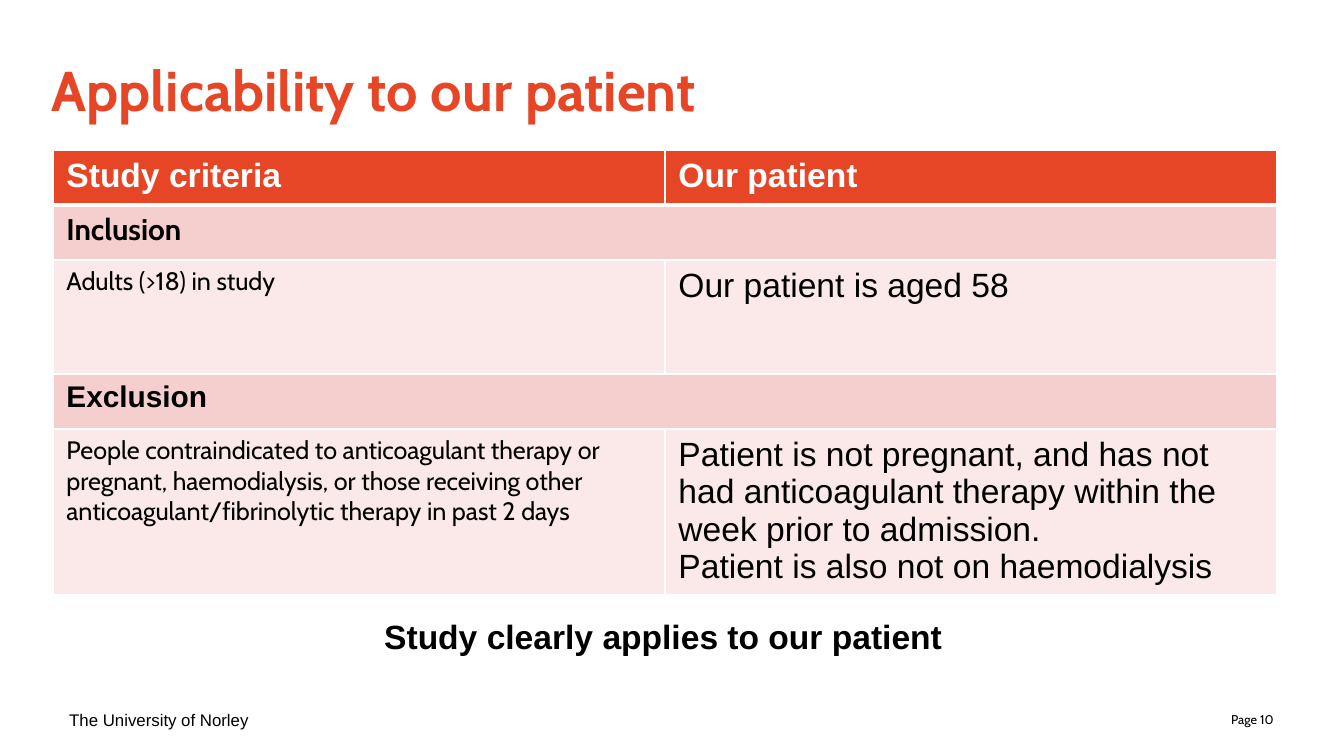
from dataclasses import dataclass
from typing import Optional

from lxml.etree import SubElement
from pptx import Presentation
from pptx.dml.color import RGBColor as Color
from pptx.enum.text import MSO_ANCHOR as Anchor, PP_ALIGN as Align
from pptx.oxml.ns import qn
from pptx.util import Emu, Pt

EMU_PER_PX = 914400 / 134.4


@dataclass(frozen=True)
class Theme:
    accent: str = "E64626"
    section: str = "F5CFCD"
    detail: str = "FAE9E8"
    white: str = "FFFFFF"
    black: str = "000000"
    sans: str = "Arial"
    brand: str = "Cabin"
    title: float = 30
    body: float = 18
    heading: float = 16
    criterion: float = 13.5
    footer: float = 9
    page_number: float = 6.8
    rule: float = 1
    header_rule: float = 3


THEME = Theme()


@dataclass(frozen=True)
class Style:
    size: float
    font: str = THEME.sans
    color: str = THEME.black
    bold: bool = False


@dataclass(frozen=True)
class Label:
    text: str
    box: tuple[int, int, int, int]
    style: Style
    align: Align = Align.LEFT
    anchor: Anchor = Anchor.TOP
    inset: Optional[int] = None


@dataclass(frozen=True)
class Entry:
    lines: tuple[str, ...]
    style: Style


@dataclass(frozen=True)
class Row:
    """A table row; a single entry spans both columns."""
    height: int
    fill: str
    entries: tuple[Entry, ...]


HEADER = Style(THEME.body, color=THEME.white, bold=True)
CRITERION = Style(THEME.criterion, THEME.brand)
ANSWER = Style(THEME.body)

LABELS = (
    Label("Page 10", (974, 700, 313, 40), Style(THEME.page_number, THEME.brand),
          Align.RIGHT, Anchor.MIDDLE),
    Label("The University of Norley", (56, 700, 313, 40), Style(THEME.footer),
          anchor=Anchor.MIDDLE),
    Label("Applicability to our patient", (52, 56, 1239, 71),
          Style(THEME.title, THEME.brand, THEME.accent, True), inset=0),
    Label("Study clearly applies to our patient", (371, 609, 589, 54),
          Style(THEME.body, bold=True)),
)

TABLE_BOX = (53, 150, 1224, 445)
ROWS = (
    Row(55, THEME.accent, (Entry(("Study criteria",), HEADER),
                           Entry(("Our patient",), HEADER))),
    Row(55, THEME.section, (
        Entry(("Inclusion",), Style(THEME.heading, THEME.brand, bold=True)),)),
    Row(114, THEME.detail, (Entry(("Adults (>18) in study",), CRITERION),
                            Entry(("Our patient is aged 58",), ANSWER))),
    Row(55, THEME.section, (
        Entry(("Exclusion",), Style(THEME.heading, bold=True)),)),
    Row(166, THEME.detail, (
        Entry(("People contraindicated to anticoagulant therapy or pregnant, "
               "haemodialysis, or those receiving other "
               "anticoagulant/fibrinolytic therapy in past 2 days",), CRITERION),
        Entry(("Patient is not pregnant, and has not had anticoagulant therapy "
               "within the week prior to admission.",
               "Patient is also not on haemodialysis"), ANSWER))),
)


def px(length: int) -> Emu:
    return Emu(round(length * EMU_PER_PX))


def write(frame, lines: tuple[str, ...], style: Style, align: Align = Align.LEFT) -> None:
    for index, line in enumerate(lines):
        para = frame.add_paragraph() if index else frame.paragraphs[0]
        para.alignment = align
        span = para.add_run()
        span.text = line
        span.font.size = Pt(style.size)
        span.font.name = style.font
        span.font.bold = style.bold
        span.font.color.rgb = Color.from_string(style.color)


def add_label(page, label: Label) -> None:
    frame = page.shapes.add_textbox(*map(px, label.box)).text_frame
    frame.word_wrap = True
    frame.vertical_anchor = label.anchor
    if label.inset is not None:
        frame.margin_left = frame.margin_right = px(label.inset)
        frame.margin_top = frame.margin_bottom = px(label.inset)
    write(frame, (label.text,), label.style, label.align)


def add_borders(cell, top: float, bottom: float) -> None:
    """Draw white borders; call before the fill, which must follow them in XML."""
    properties = cell._tc.get_or_add_tcPr()
    widths = {"L": THEME.rule, "R": THEME.rule, "T": top, "B": bottom}
    for side, width in widths.items():
        line = SubElement(properties, qn(f"a:ln{side}"), w=str(Pt(width)))
        fill = SubElement(line, qn("a:solidFill"))
        SubElement(fill, qn("a:srgbClr"), val=THEME.white)


def add_criteria_table(page, rows: tuple[Row, ...]) -> None:
    table = page.shapes.add_table(len(rows), 2, *map(px, TABLE_BOX)).table
    table.horz_banding = False
    for index, row in enumerate(rows):
        table.rows[index].height = px(row.height)
        cells = list(table.rows[index].cells)
        top = THEME.header_rule if index == 1 else THEME.rule
        bottom = THEME.header_rule if index == 0 else THEME.rule
        for cell in cells:
            add_borders(cell, top, bottom)
            cell.fill.solid()
            cell.fill.fore_color.rgb = Color.from_string(row.fill)
        if len(row.entries) == 1:
            cells[0].merge(cells[1])
        for cell, entry in zip(cells, row.entries):
            write(cell.text_frame, entry.lines, entry.style)


def main() -> None:
    deck = Presentation()
    deck.slide_width, deck.slide_height = px(1344), px(756)
    page = deck.slides.add_slide(deck.slide_layouts[6])
    add_criteria_table(page, ROWS)
    for label in LABELS:
        add_label(page, label)
    deck.save("out.pptx")


if __name__ == "__main__":
    main()
